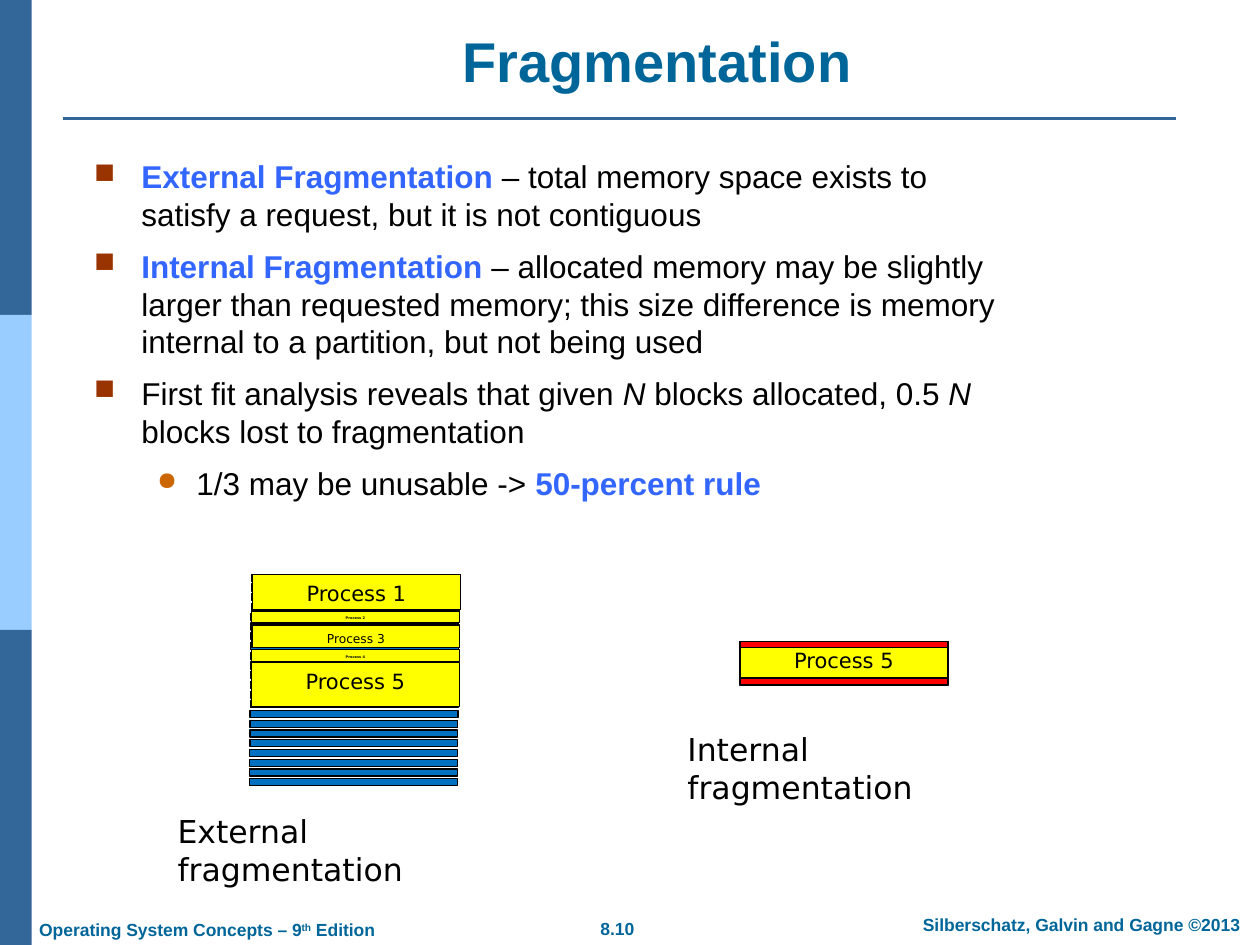
from dataclasses import dataclass

import pptx
import pptx.dml.color
import pptx.enum.shapes
import pptx.enum.text
import pptx.oxml.ns
import pptx.util
from lxml import etree
from pptx.dml.color import RGBColor
from pptx.util import Cm

STEEL = RGBColor(0x33, 0x66, 0x99)
SKY = RGBColor(0x99, 0xCC, 0xFF)
TEAL = RGBColor(0x00, 0x66, 0x99)
TERM_BLUE = RGBColor(0x33, 0x66, 0xFF)
RUST = RGBColor(0x99, 0x33, 0x00)
ORANGE = RGBColor(0xCC, 0x66, 0x00)
FREE_BLUE = RGBColor(0x00, 0x70, 0xC0)
YELLOW = RGBColor(0xFF, 0xFF, 0x00)
RED = RGBColor(0xFF, 0x00, 0x00)
BLACK = RGBColor(0x00, 0x00, 0x00)

ALIGN = pptx.enum.text.PP_ALIGN
ANCHOR = pptx.enum.text.MSO_ANCHOR
HEADING_FONT = "Arial"
DIAGRAM_FONT = "DejaVu Sans"
BLOCK_WIDTH = 4.19


@dataclass
class Box:
    """Position and size in centimetres."""
    left: float
    top: float
    width: float
    height: float

    def lengths(self) -> tuple:
        return Cm(self.left), Cm(self.top), Cm(self.width), Cm(self.height)


@dataclass
class Run:
    text: str
    term: bool = False
    italic: bool = False
    raised: bool = False


@dataclass
class Style:
    size: float
    font: str = HEADING_FONT
    color: RGBColor = BLACK
    bold: bool = False
    align: int = ALIGN.LEFT


@dataclass
class Bullet:
    symbol: str
    color: RGBColor
    percent: int
    level: int
    margin: float
    hanging: float


@dataclass
class Process:
    name: str
    box: Box
    size: float
    inset: float = 0.13


def fill_paragraph(paragraph, runs: list[Run], style: Style) -> None:
    paragraph.alignment = style.align
    font = paragraph.font
    font.size = pptx.util.Pt(style.size)
    font.name = style.font
    font.color.rgb = style.color
    font.bold = style.bold
    for part in runs:
        run = paragraph.add_run()
        run.text = part.text
        if part.term:
            run.font.bold = True
            run.font.color.rgb = TERM_BLUE
        if part.italic:
            run.font.italic = True
        if part.raised:
            run.font._element.set("baseline", "30000")


def add_bullet(paragraph, bullet: Bullet) -> None:
    paragraph.level = bullet.level
    properties = paragraph._p.get_or_add_pPr()
    properties.set("marL", str(Cm(bullet.margin)))
    properties.set("indent", str(-Cm(bullet.hanging)))
    qn = pptx.oxml.ns.qn
    color = etree.SubElement(properties, qn("a:buClr"))
    etree.SubElement(color, qn("a:srgbClr"), val=str(bullet.color))
    etree.SubElement(properties, qn("a:buSzPct"), val=str(bullet.percent * 1000))
    etree.SubElement(properties, qn("a:buChar"), char=bullet.symbol)


def add_text(slide, box: Box, runs: list[Run], style: Style,
             anchor: int = ANCHOR.TOP) -> None:
    frame = slide.shapes.add_textbox(*box.lengths()).text_frame
    frame.word_wrap = True
    frame.vertical_anchor = anchor
    fill_paragraph(frame.paragraphs[0], runs, style)


def add_rectangle(slide, box: Box, fill: RGBColor, outlined: bool = True):
    rectangle = slide.shapes.add_shape(
        pptx.enum.shapes.MSO_SHAPE.RECTANGLE, *box.lengths())
    rectangle.shadow.inherit = False
    rectangle.fill.solid()
    rectangle.fill.fore_color.rgb = fill
    if outlined:
        rectangle.line.color.rgb = BLACK
        rectangle.line.width = pptx.util.Pt(0.75)
    else:
        rectangle.line.fill.background()
    return rectangle


def add_process(slide, process: Process) -> None:
    frame = add_rectangle(slide, process.box, YELLOW).text_frame
    frame.word_wrap = True
    frame.vertical_anchor = ANCHOR.TOP
    frame.margin_top = frame.margin_bottom = Cm(process.inset)
    style = Style(process.size, DIAGRAM_FONT, bold=process.size < 5, align=ALIGN.CENTER)
    fill_paragraph(frame.paragraphs[0], [Run(process.name)], style)


def add_frame(slide) -> None:
    # Side band and title rule
    for index, color in enumerate([STEEL, SKY, STEEL]):
        add_rectangle(slide, Box(0, 6.35 * index, 0.64, 6.35), color, outlined=False)
    rule = slide.shapes.add_connector(
        pptx.enum.shapes.MSO_CONNECTOR.STRAIGHT, Cm(1.27), Cm(2.39), Cm(23.7), Cm(2.39))
    rule.line.color.rgb = STEEL
    rule.line.width = pptx.util.Pt(1.5)
    etree.SubElement(rule._element.spPr, pptx.oxml.ns.qn("a:effectLst"))

    # Footer
    left_style = Style(10, color=TEAL, bold=True)
    center_style = Style(10, color=TEAL, bold=True, align=ALIGN.CENTER)
    add_text(slide, Box(11.2, 18.38, 2.49, 0.67), [Run("8.10")], center_style)
    add_text(slide, Box(18.03, 18.3, 7.54, 0.67),
             [Run("Silberschatz, Galvin and Gagne ©2013")], center_style)
    add_text(slide, Box(0.54, 18.4, 7.8, 0.65),
             [Run("Operating System Concepts – 9"), Run("th", raised=True),
              Run(" Edition")], left_style)


def add_points(slide) -> None:
    square = Bullet("■", RUST, 90, 0, 0.95, 0.95)
    dot = Bullet("●", ORANGE, 80, 1, 2.06, 0.79)
    points = [
        (square, [Run("External Fragmentation ", term=True),
                  Run("– total memory space exists to satisfy a request, "
                      "but it is not contiguous")]),
        (square, [Run("Internal Fragmentation ", term=True),
                  Run("– allocated memory may be slightly larger than requested memory; "
                      "this size difference is memory internal to a partition, "
                      "but not being used")]),
        (square, [Run("First fit analysis reveals that given "), Run("N", italic=True),
                  Run(" blocks allocated, 0.5 "), Run("N", italic=True),
                  Run(" blocks lost to fragmentation")]),
        (dot, [Run("1/3 may be unusable -> "), Run("50-percent rule", term=True)]),
    ]
    frame = slide.shapes.add_textbox(*Box(1.65, 3.05, 18.8, 13.89).lengths()).text_frame
    frame.word_wrap = True
    for index, (bullet, runs) in enumerate(points):
        paragraph = frame.add_paragraph() if index else frame.paragraphs[0]
        add_bullet(paragraph, bullet)
        if index:
            paragraph.space_before = pptx.util.Pt(7.9)
        fill_paragraph(paragraph, runs, Style(18))


def add_diagrams(slide) -> None:
    caption = Style(18, DIAGRAM_FONT)

    # External: free slivers lie behind the processes
    sliver_count = 22
    for index in range(sliver_count):
        share = index / (sliver_count - 1)
        add_rectangle(slide, Box(5.07 - 0.04 * share, 11.58 + 4.12 * share,
                                 BLOCK_WIDTH, 0.14), FREE_BLUE)
    for process in [
        Process("Process 1", Box(5.09, 11.58, BLOCK_WIDTH, 0.71), 12),
        Process("Process 2", Box(5.07, 12.32, BLOCK_WIDTH, 0.23), 2, 0.1),
        Process("Process 3", Box(5.08, 12.6, BLOCK_WIDTH, 0.46), 7),
        Process("Process 4", Box(5.07, 13.1, BLOCK_WIDTH, 0.24), 2, 0.1),
        Process("Process 5", Box(5.07, 13.35, BLOCK_WIDTH, 0.9), 12),
    ]:
        add_process(slide, process)
    add_text(slide, Box(3.33, 16.25, 7.44, 1.02), [Run("External fragmentation")], caption)

    # Internal: unused strips inside the partition
    add_process(slide, Process("Process 5", Box(14.92, 12.93, BLOCK_WIDTH, 0.89), 12))
    for top in (12.93, 13.67):
        add_rectangle(slide, Box(14.92, top, BLOCK_WIDTH, 0.13), RED)
    add_text(slide, Box(13.61, 14.59, 7.37, 1.02), [Run("Internal fragmentation")], caption)


def main() -> None:
    deck = pptx.Presentation()
    deck.slide_width, deck.slide_height = Cm(25.4), Cm(19.05)
    slide = deck.slides.add_slide(deck.slide_layouts[6])
    add_frame(slide)
    add_text(slide, Box(2.38, 0.42, 21.74, 1.6), [Run("Fragmentation")],
             Style(32, color=TEAL, bold=True, align=ALIGN.CENTER), ANCHOR.BOTTOM)
    add_points(slide)
    add_diagrams(slide)
    deck.save("out.pptx")


if __name__ == "__main__":
    main()
